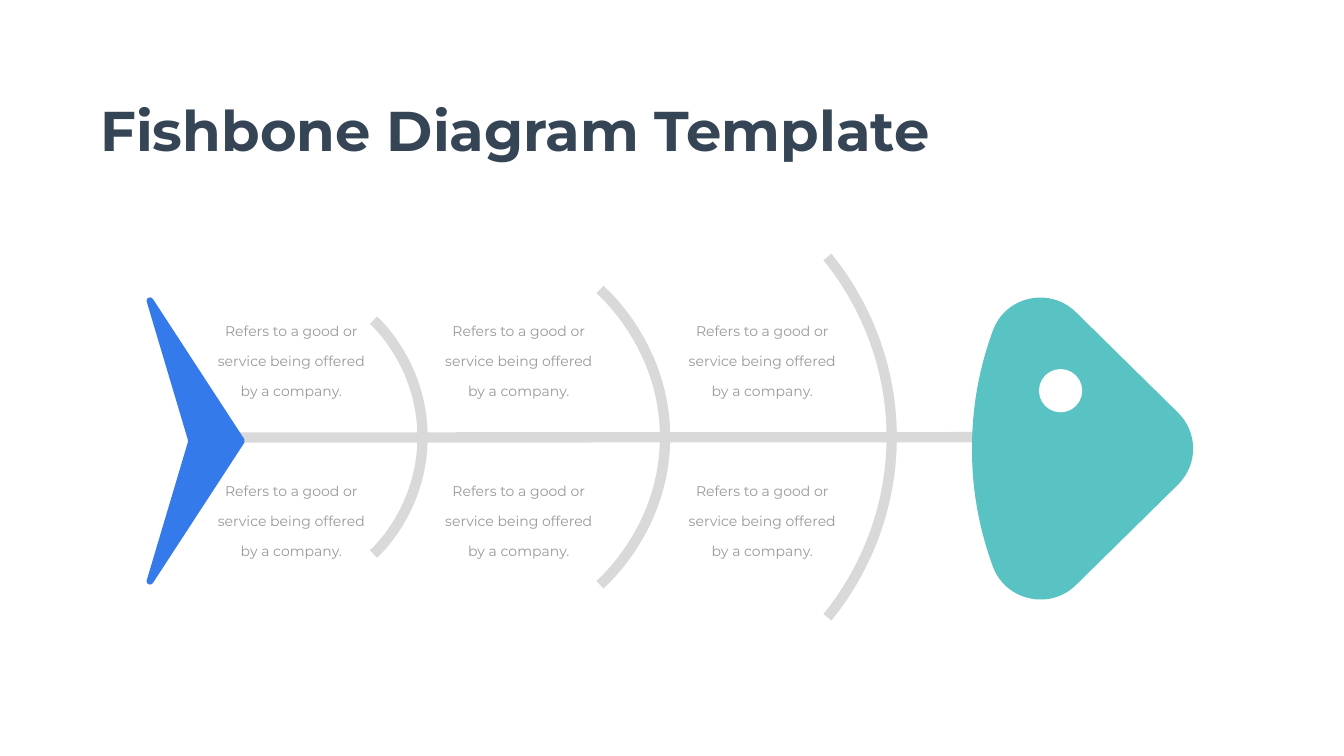
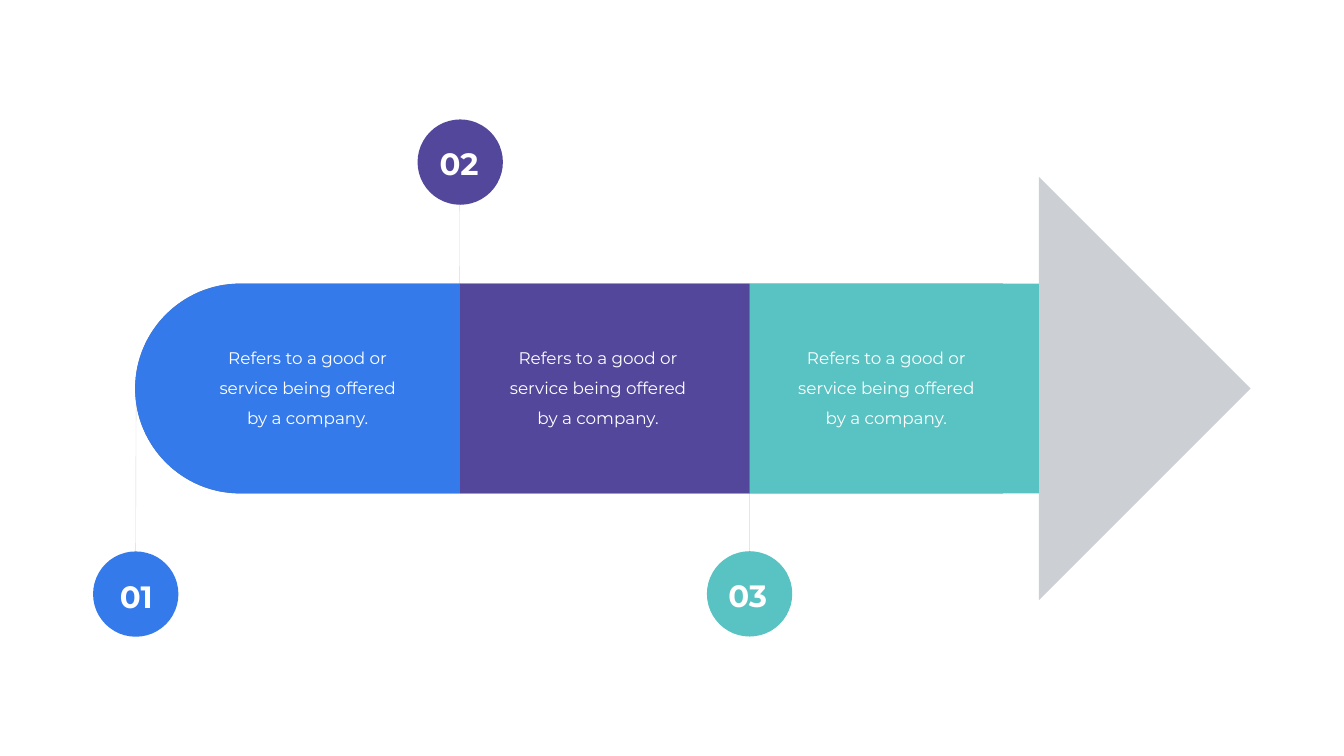
from lxml import etree
from pptx import Presentation
from pptx.dml.color import RGBColor
from pptx.enum.shapes import MSO_CONNECTOR, MSO_SHAPE
from pptx.enum.text import MSO_AUTO_SIZE, MSO_ANCHOR, PP_ALIGN
from pptx.oxml.ns import qn
from pptx.util import Cm, Pt

CENTER, LEFT = PP_ALIGN.CENTER, PP_ALIGN.LEFT
TOP = MSO_ANCHOR.TOP
STRAIGHT = MSO_CONNECTOR.STRAIGHT
OVAL, RECTANGLE = MSO_SHAPE.OVAL, MSO_SHAPE.RECTANGLE
FIT_SHAPE = MSO_AUTO_SIZE.SHAPE_TO_FIT_TEXT

FONT = "Montserrat"
BLUE, PURPLE, TEAL = "347AEB", "52479B", "58C3C2"
NAVY, GREY, SLATE, BONE, WHITE = "364556", "999999", "6E6E71", "D9D9D9", "FFFFFF"
BONE_WIDTH = 14.75
CAPTION = "Refers to a good or service being offered by a company."
CAPTION_HEIGHT = 5.03


def rgb(value):
    return RGBColor.from_string(value)


def write(frame, text, size, colour, bold=False, align=CENTER,
          line_spacing=None, wrap=True):
    frame.word_wrap = wrap
    frame.auto_size = FIT_SHAPE
    frame.vertical_anchor = TOP
    para = frame.paragraphs[0]
    para.alignment = align
    if line_spacing:
        para.line_spacing = Pt(line_spacing)
    span = para.add_run()
    span.text = text
    span.font.name = FONT
    span.font.size = Pt(size)
    span.font.bold = bold
    span.font.color.rgb = rgb(colour)


def paint(shape, fill, alpha=None):
    shape.shadow.inherit = False
    shape.line.fill.background()
    shape.fill.solid()
    shape.fill.fore_color.rgb = rgb(fill)
    if alpha is not None:
        colour = shape.fill._xPr.find(qn("a:solidFill"))[0]
        etree.SubElement(colour, qn("a:alpha"), val=str(alpha * 1000))


def add_preset(page, kind, left, top, width, height, fill):
    shape = page.shapes.add_shape(kind, Cm(left), Cm(top), Cm(width), Cm(height))
    paint(shape, fill)


def add_line(page, start, end, width):
    line = page.shapes.add_connector(STRAIGHT, *map(Cm, start + end))
    line.line.color.rgb = rgb(BONE)
    line.line.width = Pt(width)
    etree.SubElement(line._element.spPr, qn("a:effectLst"))


def add_outline(page, left, top, steps, close=True):
    """Build a freeform of points (x, y) and cubic curves (six numbers) from left, top."""
    points = [(Cm(left + step[index]), Cm(top + step[index + 1]))
              for step in steps for index in range(0, len(step), 2)]
    builder = page.shapes.build_freeform(*points[0], scale=1.0)
    builder.add_line_segments(points[1:], close=close)
    shape = builder.convert_to_shape()
    segments = iter(list(shape._element.iter(qn("a:lnTo"))))
    for step in steps[1:]:
        segment = next(segments)
        if len(step) == 6:
            segment.tag = qn("a:cubicBezTo")
            for _ in range(2):
                extra = next(segments)
                segment.append(extra[0])
                extra.getparent().remove(extra)
    return shape


def add_text_box(page, left, top, width, height):
    return page.shapes.add_textbox(*map(Cm, (left, top, width, height))).text_frame


def add_caption(page, left, top, width, size, colour):
    frame = add_text_box(page, left, top, width, CAPTION_HEIGHT)
    frame.margin_left = frame.margin_right = Cm(0.61)
    frame.margin_top = frame.margin_bottom = Cm(0.3)
    write(frame, CAPTION, size, colour, line_spacing=43)


def add_title(page, text, left, top, width, height):
    title = page.shapes.title
    title.left, title.top, title.width, title.height = map(Cm, (left, top, width, height))
    write(title.text_frame, text, 80, NAVY, bold=True, align=LEFT, wrap=False)


def add_rib(page, left, axis, width, height, lead_x, lead_y, bow):
    """Draw a bone that bows to the right; the last three values are shares of its size."""
    rib = add_outline(page, left, axis - height / 2, [
        (0, 0),
        (lead_x * width, lead_y * height, width, bow * height, width, height / 2),
        (width, (1 - bow) * height, lead_x * width, (1 - lead_y) * height, 0, height),
    ], close=False)
    rib.shadow.inherit = False
    rib.fill.background()
    rib.line.color.rgb = rgb(BONE)
    rib.line.width = Pt(BONE_WIDTH)


def add_head(page, left, top):
    head = add_outline(page, left, top, [
        (5.28, 1.32), (10.39, 6.35),
        (11.43, 7.37, 11.43, 8.99, 10.39, 10.01), (5.28, 15.04),
        (3.96, 16.36, 1.7, 15.85, 1.07, 14.1),
        (0.51, 12.55, 0.03, 10.59, 0.03, 8.33),
        (0, 5.92, 0.48, 3.86, 1.07, 2.26),
        (1.7, 0.48, 3.96, 0, 5.28, 1.32),
    ])
    paint(head, TEAL)
    add_preset(page, OVAL, left + 3.4, top + 4.17, 2.18, 2.18, WHITE)


def add_tail(page, left, top):
    tail = add_outline(page, left, top, [
        (0.05, 0.28), (2.13, 7.26),
        (2.13, 7.29, 2.13, 7.34, 2.13, 7.37), (0.05, 14.35),
        (0, 14.53, 0.25, 14.63, 0.36, 14.48), (4.98, 7.39),
        (5, 7.34, 5, 7.29, 4.98, 7.24), (0.36, 0.15),
        (0.25, 0, 0, 0.1, 0.05, 0.28),
    ])
    paint(tail, BLUE)


def build_fishbone(page):
    axis = 22.03
    add_line(page, (50.67, axis), (11.23, axis + 0.02), BONE_WIDTH)
    for left, *shape in ((41.69, 3.24, 18.16, 0.23, 0.05, 0.23),
                         (30.23, 3.28, 14.88, 0.15, 0.03, 0.21),
                         (18.82, 2.47, 11.78, 0.16, 0.03, 0.21)):
        add_rib(page, left, axis, *shape)
    add_head(page, 48.95, 14.43)
    add_tail(page, 7.34, 14.91)
    for top in (15.29, 23.34):
        for left in (21.44, 33.71, 9.98):
            add_caption(page, left, top, 9.4, 20, GREY)
    add_title(page, "Fishbone Diagram Template", 4.8, 4.7, 42.44, 3.68)


def add_round_end(page, left, top, width, height, fill):
    """Draw a band whose left end is a half circle."""
    radius = height / 2
    near = 0.45 * radius
    band = add_outline(page, left, top, [
        (width, height), (radius, height),
        (near, height, 0, height - near, 0, radius),
        (0, near, near, 0, radius, 0), (width, 0),
    ])
    paint(band, fill)


def build_arrow(page):
    axis, height = 19.58, 10.57
    top = axis - height / 2
    edges = (6.81, 23.19, 37.77, 52.35)
    colours = (BLUE, PURPLE, TEAL)
    badge_size, number_width, number_height = 4.3, 4.04, 2.13
    badge_centers = ((6.84, 29.94), (23.19, 8.17), (37.77, 29.93))
    number_corners = ((4.85, 29.01), (21.11, 7.16), (35.66, 28.93))

    for start, end in (((23.14, 18.87), (23.16, 8.15)),
                       ((37.77, 29.97), (37.78, 19.25)),
                       ((6.83, 29.95), (6.86, 19.53))):
        add_line(page, start, end, 0.57)

    add_round_end(page, edges[0], top, 43.72, height, SLATE)
    wedge = add_outline(page, edges[-1], axis - 10.67,
                        [(0, 0), (10.67, 10.67), (0, 21.34)])
    paint(wedge, NAVY, alpha=25)
    add_round_end(page, edges[0], top, edges[1] - edges[0], height, BLUE)
    for left, right, colour in zip(edges[1:], edges[2:], colours[1:]):
        add_preset(page, RECTANGLE, left, top, right - left, height, colour)

    for (center_x, center_y), colour in zip(badge_centers, colours):
        add_preset(page, OVAL, center_x - badge_size / 2, center_y - badge_size / 2,
                   badge_size, badge_size, colour)
    for left in (10.24, 24.87, 39.4):
        add_caption(page, left, 16.71, 10.52, 24, WHITE)
    for number, corner in enumerate(number_corners, 1):
        frame = add_text_box(page, *corner, number_width, number_height)
        write(frame, f"{number:02}", 44, WHITE, bold=True)


def main():
    deck = Presentation()
    deck.slide_width, deck.slide_height = Cm(67.72), Cm(38.1)
    title_only, blank = deck.slide_layouts[5], deck.slide_layouts[6]
    build_fishbone(deck.slides.add_slide(title_only))
    build_arrow(deck.slides.add_slide(blank))
    deck.save("out.pptx")


if __name__ == "__main__":
    main()
